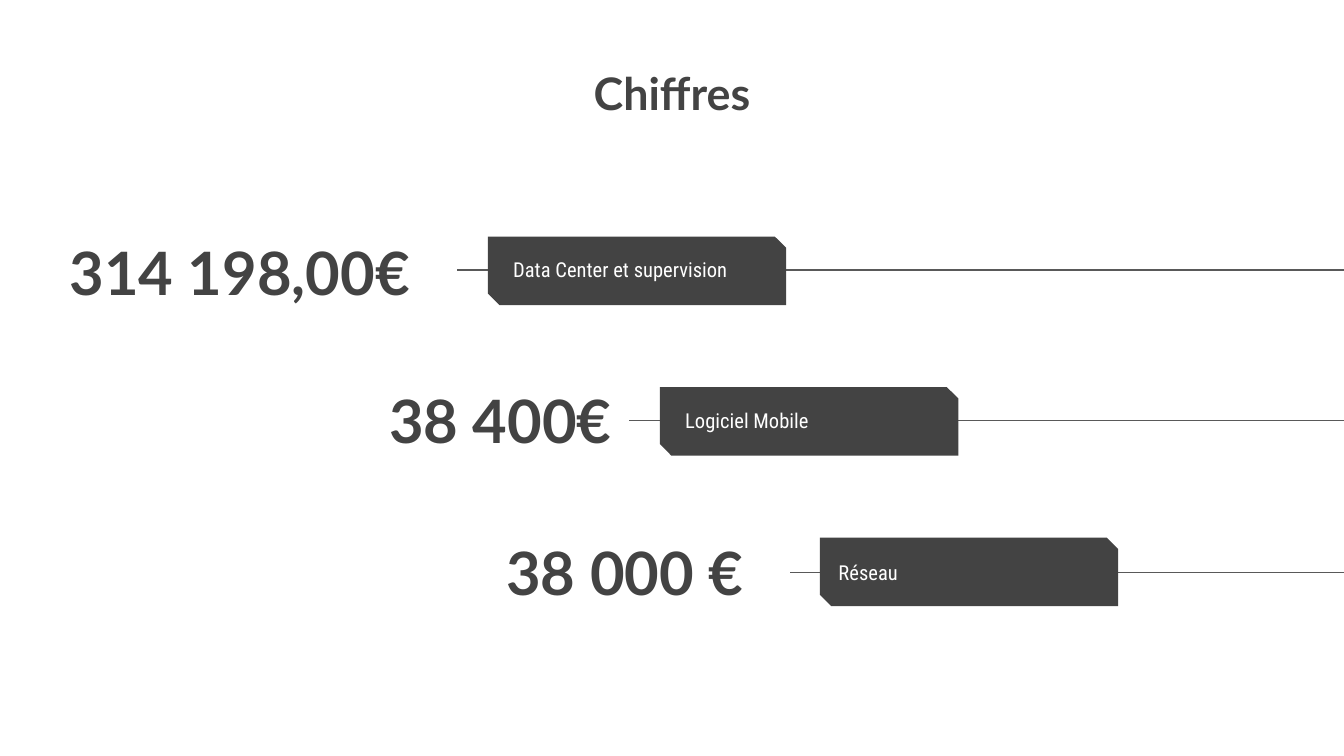
from dataclasses import dataclass

from lxml.etree import SubElement
from pptx import Presentation
from pptx.dml.color import RGBColor
from pptx.enum.shapes import MSO_CONNECTOR, MSO_SHAPE
from pptx.enum.text import MSO_ANCHOR, MSO_AUTO_SIZE, PP_ALIGN
from pptx.oxml.ns import qn
from pptx.util import Inches, Pt


@dataclass(frozen=True)
class Theme:
    dark: RGBColor = RGBColor(0x43, 0x43, 0x43)
    rule: RGBColor = RGBColor(0x59, 0x59, 0x59)
    white: RGBColor = RGBColor(0xFF, 0xFF, 0xFF)
    head: str = "Lato"
    body: str = "Roboto Condensed"
    title: int = 24
    sum: int = 32
    label: int = 11


THEME = Theme()
WIDTH = 10
HEIGHT = WIDTH * 9 / 16
TAB_W, TAB_H = 2.22, 0.51
SUM_H, LABEL_H = 0.83, 0.37

# amount, its box (left, top, width), label, its box (left, top, width),
# line (start, height), tab (left, top)
ROWS = [
    ("314 198,00€", (0.03, 1.61, 3.12),
     "Data Center et supervision", (3.72, 1.82, 3.57),
     (3.4, 2.01), (3.63, 1.76)),
    ("38 400€", (0, 2.71, 4.65),
     "Logiciel Mobile", (5, 2.94, 3.57),
     (4.68, 3.13), (4.91, 2.88)),
    ("38 000 €", (1.41, 3.84, 4.22),
     "Réseau", (6.14, 4.07, 2.58),
     (5.88, 4.26), (6.1, 4)),
]


def set_text(shape, text, size, font, color, align, anchor, bold=False):
    frame = shape.text_frame
    frame.text = text
    frame.word_wrap = True
    frame.auto_size = MSO_AUTO_SIZE.NONE
    frame.vertical_anchor = anchor
    frame.margin_left = frame.margin_right = Inches(0.1)
    frame.margin_top = frame.margin_bottom = Inches(0.1)
    para = frame.paragraphs[0]
    para.alignment = align
    for run in para.runs:
        run.font.size = Pt(size)
        run.font.name = font
        run.font.bold = bold
        run.font.color.rgb = color


def add_title(slide, text):
    title = slide.shapes.title
    title.left, title.top = Inches(2.15), Inches(0.39)
    title.width, title.height = Inches(5.7), Inches(1.03)
    set_text(title, text, THEME.title, THEME.head, THEME.dark,
             PP_ALIGN.CENTER, MSO_ANCHOR.TOP, bold=True)


def add_box(slide, left, top, width, height):
    return slide.shapes.add_textbox(Inches(left), Inches(top),
                                    Inches(width), Inches(height))


def add_rule(slide, start, mid):
    """Draw a line from the slide's right edge back to start."""
    line = slide.shapes.add_connector(
        MSO_CONNECTOR.STRAIGHT, Inches(WIDTH), Inches(mid),
        Inches(start), Inches(mid))
    line.line.color.rgb = THEME.rule
    line.line.width = Pt(0.75)
    SubElement(line._element.spPr, qn("a:effectLst"))


def add_tab(slide, left, top):
    tab = slide.shapes.add_shape(
        MSO_SHAPE.SNIP_2_DIAG_RECTANGLE, Inches(left), Inches(top),
        Inches(TAB_W), Inches(TAB_H))
    tab.adjustments[0] = 0
    tab.adjustments[1] = 0.167
    tab.shadow.inherit = False
    tab.fill.solid()
    tab.fill.fore_color.rgb = THEME.dark
    tab.line.fill.background()


def add_row(slide, amount, sum_box, label, label_box, rule, tab):
    add_rule(slide, *rule)
    add_tab(slide, *tab)
    set_text(add_box(slide, *sum_box, SUM_H), amount,
             THEME.sum, THEME.head, THEME.dark,
             PP_ALIGN.RIGHT, MSO_ANCHOR.MIDDLE, bold=True)
    set_text(add_box(slide, *label_box, LABEL_H), label,
             THEME.label, THEME.body, THEME.white,
             PP_ALIGN.LEFT, MSO_ANCHOR.MIDDLE)


def main():
    deck = Presentation()
    deck.slide_width, deck.slide_height = Inches(WIDTH), Inches(HEIGHT)
    slide = deck.slides.add_slide(deck.slide_layouts[5])
    add_title(slide, "Chiffres")
    for row in ROWS:
        add_row(slide, *row)
    deck.save("out.pptx")


if __name__ == "__main__":
    main()
